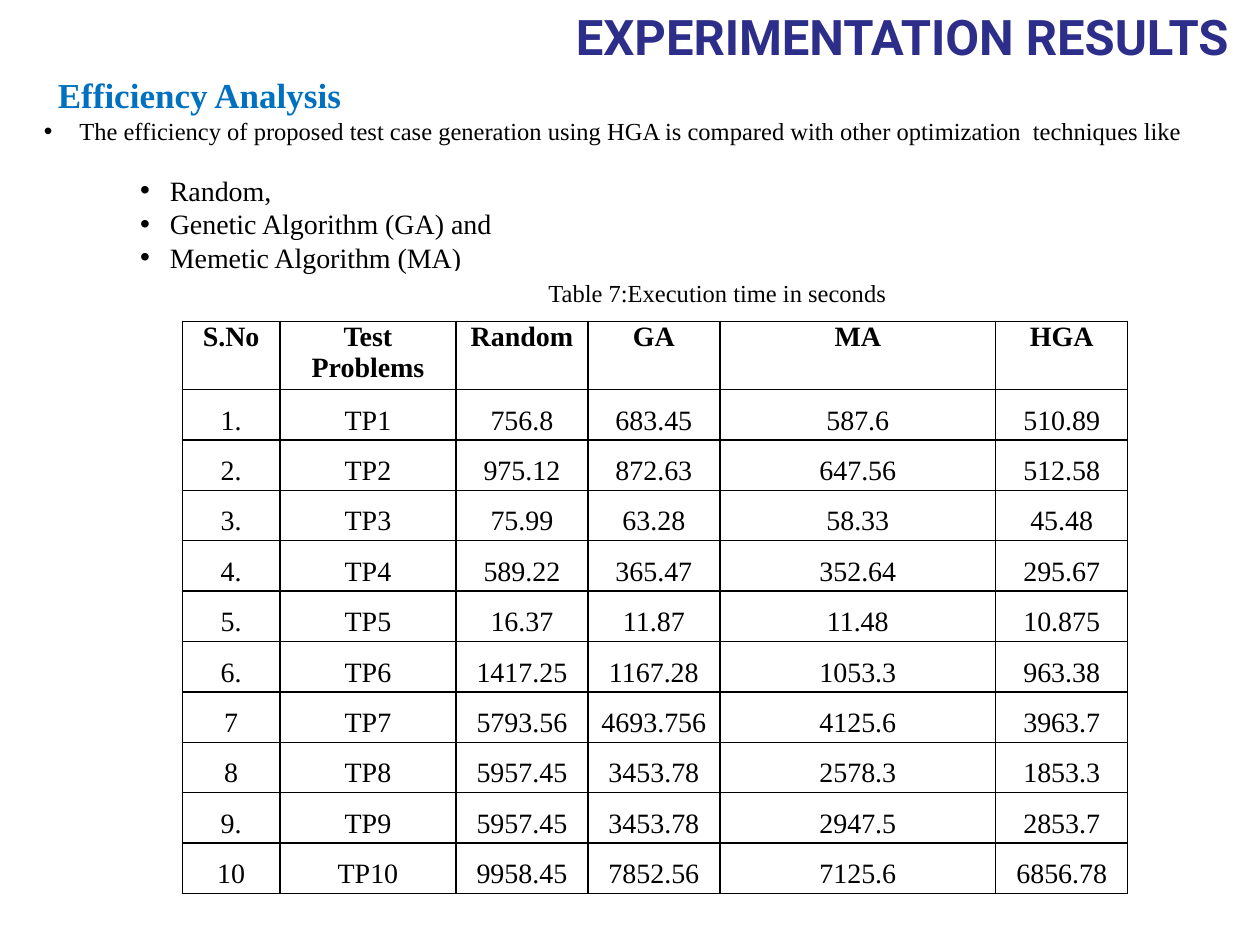
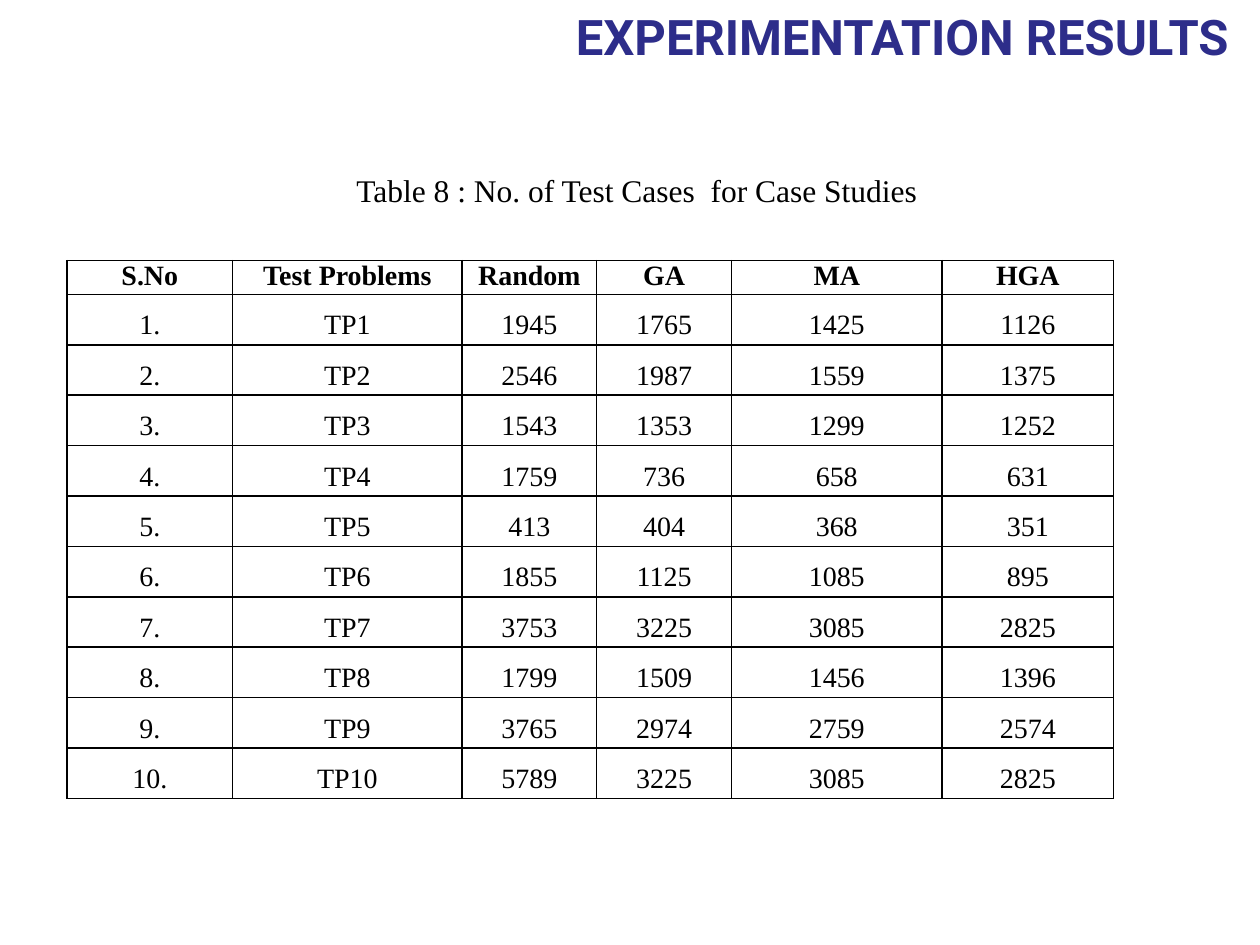
from lxml import etree
from pptx import Presentation
from pptx.dml.color import RGBColor
from pptx.enum.shapes import MSO_SHAPE
from pptx.enum.text import MSO_ANCHOR, MSO_AUTO_SIZE, PP_ALIGN
from pptx.oxml.ns import qn
from pptx.util import Pt

RECT = MSO_SHAPE.RECTANGLE
MIDDLE = MSO_ANCHOR.MIDDLE
GROW = MSO_AUTO_SIZE.SHAPE_TO_FIT_TEXT
CENTER, JUSTIFY = PP_ALIGN.CENTER, PP_ALIGN.JUSTIFY

# Shared look
WHITE = RGBColor(0xFF, 0xFF, 0xFF)
BLACK = RGBColor(0, 0, 0)
BLUE = RGBColor(0x00, 0x70, 0xC0)
NAVY = RGBColor(0x2D, 0x2D, 0x8A)
SERIF, SANS = "Times New Roman", "Roboto"
TITLE = "EXPERIMENTATION RESULTS"
HEADS = ("S.No", "Test Problems", "Random", "GA", "MA", "HGA")
ROW_H = 28.8

# Table data: number, then the value for each technique
TIMES = (
    ("1.", "756.8", "683.45", "587.6", "510.89"),
    ("2.", "975.12", "872.63", "647.56", "512.58"),
    ("3.", "75.99", "63.28", "58.33", "45.48"),
    ("4.", "589.22", "365.47", "352.64", "295.67"),
    ("5.", "16.37", "11.87", "11.48", "10.875"),
    ("6.", "1417.25", "1167.28", "1053.3", "963.38"),
    ("7", "5793.56", "4693.756", "4125.6", "3963.7"),
    ("8", "5957.45", "3453.78", "2578.3", "1853.3"),
    ("9.", "5957.45", "3453.78", "2947.5", "2853.7"),
    ("10", "9958.45", "7852.56", "7125.6", "6856.78"),
)
CASES = (
    ("1.", "1945", "1765", "1425", "1126"),
    ("2.", "2546", "1987", "1559", "1375"),
    ("3.", "1543", "1353", "1299", "1252"),
    ("4.", "1759", "736", "658", "631"),
    ("5.", "413", "404", "368", "351"),
    ("6.", "1855", "1125", "1085", "895"),
    ("7.", "3753", "3225", "3085", "2825"),
    ("8.", "1799", "1509", "1456", "1396"),
    ("9.", "3765", "2974", "2759", "2574"),
    ("10.", "5789", "3225", "3085", "2825"),
)


def add_run(para, text, size, color=BLACK, bold=False, face=SERIF):
    run = para.add_run()
    run.text = text
    font = run.font
    font.name, font.size, font.bold = face, Pt(size), bold
    font.color.rgb = color


def indent(para, left, first, bullet=False):
    props = para._p.get_or_add_pPr()
    props.set("marL", str(Pt(left)))
    props.set("indent", str(Pt(first)))
    if bullet:
        etree.SubElement(props, qn("a:buFont")).set("typeface", "Arial")
        etree.SubElement(props, qn("a:buChar")).set("char", "•")


def add_title(slide):
    box = slide.shapes.add_textbox(Pt(311), Pt(0), Pt(409), Pt(41))
    frame = box.text_frame
    frame.word_wrap, frame.auto_size = True, GROW
    para = frame.paragraphs[0]
    para.alignment = CENTER
    add_run(para, TITLE, 28, NAVY, True, SANS)


def add_panel(slide, left, top, width, height):
    """Add a plain white panel and return its text frame."""
    panel = slide.shapes.add_shape(RECT, Pt(left), Pt(top), Pt(width), Pt(height))
    panel.shadow.inherit = False
    panel.fill.solid()
    panel.fill.fore_color.rgb = WHITE
    panel.line.fill.background()
    frame = panel.text_frame
    frame.word_wrap, frame.auto_size = True, GROW
    frame.vertical_anchor = MIDDLE
    return frame


def add_caption(slide, text, size, *place):
    para = add_panel(slide, *place).paragraphs[0]
    para.alignment = CENTER
    add_run(para, text, size)


def add_intro(slide):
    frame = add_panel(slide, 18, 37.4, 687, 124)
    head = frame.paragraphs[0]
    head.alignment = JUSTIFY
    indent(head, 0, 8)
    add_run(head, "Efficiency Analysis", 20, BLUE, True)

    lead = frame.add_paragraph()
    lead.alignment = JUSTIFY
    lead.space_after = Pt(16)
    indent(lead, 17, -17, True)
    add_run(lead, " The efficiency of proposed test case generation using HGA "
            "is compared with other optimization  techniques like ", 14)

    for name in ("Random, ", "Genetic Algorithm (GA) and ", "Memetic Algorithm (MA) "):
        item = frame.add_paragraph()
        item.alignment, item.level = JUSTIFY, 1
        indent(item, 72, -17, True)
        add_run(item, name, 16)


def add_border(cell):
    props = cell._tc.get_or_add_tcPr()
    for side in ("lnL", "lnR", "lnT", "lnB"):
        line = etree.SubElement(props, qn(f"a:{side}"), w=str(Pt(1)))
        fill = etree.SubElement(line, qn("a:solidFill"))
        etree.SubElement(fill, qn("a:srgbClr"), val=str(BLACK))


def fill_cell(cell, text, head):
    cell.margin_left = cell.margin_right = Pt(5)
    cell.margin_top = cell.margin_bottom = Pt(0)
    add_border(cell)
    cell.fill.background()
    para = cell.text_frame.paragraphs[0]
    para.alignment, para.space_after = CENTER, Pt(4)
    if not head:
        para.line_spacing = 1.5
    add_run(para, text, 16, bold=head)


def add_grid(slide, left, top, widths, head_h, data):
    rows = [HEADS] + [(num, f"TP{i}", *vals)
                      for i, (num, *vals) in enumerate(data, 1)]
    height = head_h + ROW_H * len(data)
    grid = slide.shapes.add_table(len(rows), len(HEADS), Pt(left), Pt(top),
                                  Pt(sum(widths)), Pt(height)).table
    grid.first_row = grid.horz_banding = False
    for col, width in zip(grid.columns, widths):
        col.width = Pt(width)
    for r, row in enumerate(rows):
        grid.rows[r].height = Pt(ROW_H if r else head_h)
        for c, text in enumerate(row):
            fill_cell(grid.cell(r, c), text, r == 0)


def main():
    deck = Presentation()
    deck.slide_width, deck.slide_height = Pt(720), Pt(540)
    blank = deck.slide_layouts[6]

    # Execution times
    slide = deck.slides.add_slide(blank)
    add_intro(slide)
    add_title(slide)
    add_caption(slide, "Table 7:Execution time in seconds", 14,
                253.4, 154.8, 313.2, 24.5)
    add_grid(slide, 104.2, 183.6, (55.8, 100.6, 75.4, 75.4, 157.7, 75.4), 39, TIMES)

    # Test case counts
    slide = deck.slides.add_slide(blank)
    add_title(slide)
    add_caption(slide, "Table 8 : No. of Test Cases  for Case Studies", 18,
                184.3, 94.3, 359.3, 28.8)
    add_grid(slide, 38.2, 149, (94.8, 131, 77, 77, 120.4, 98), 19.2, CASES)

    deck.save("out.pptx")


if __name__ == "__main__":
    main()
